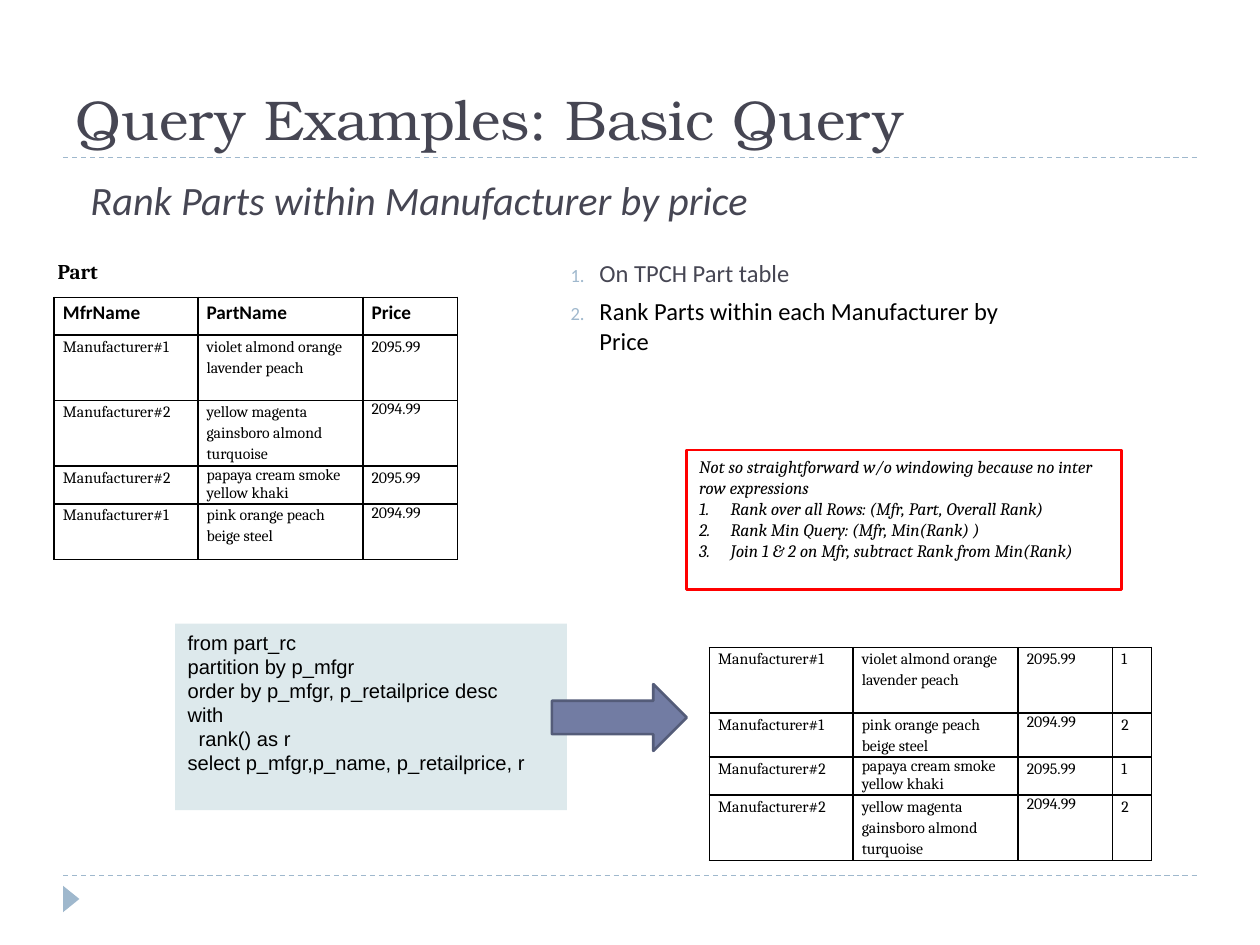
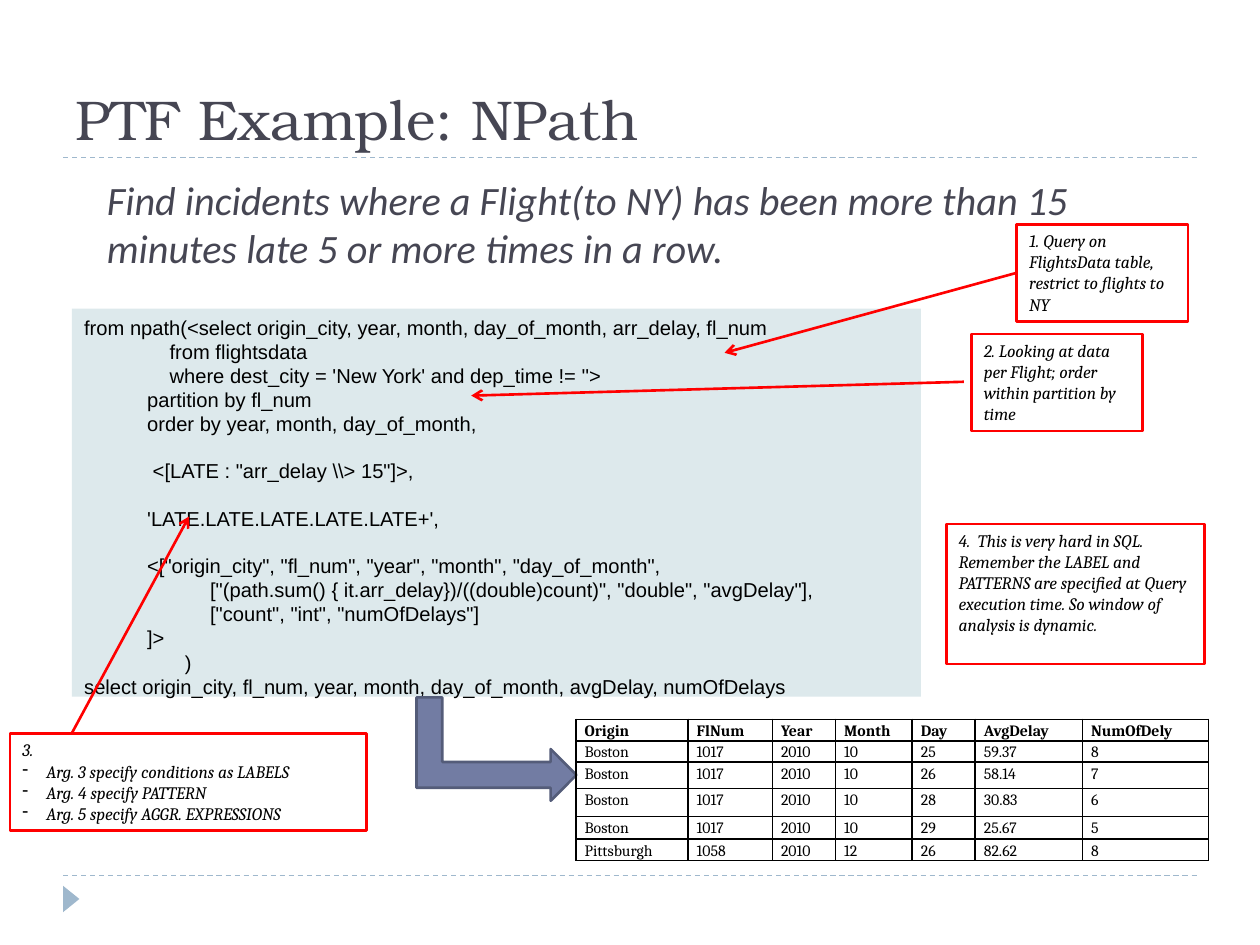
"""Build two slides on windowing queries: a basic ranking and an NPath example."""
from lxml import etree
from pptx import Presentation
from pptx.dml.color import RGBColor
from pptx.enum.dml import MSO_LINE
from pptx.enum.shapes import MSO_CONNECTOR, MSO_SHAPE
from pptx.enum.text import MSO_ANCHOR, PP_ALIGN
from pptx.oxml.ns import qn
from pptx.util import Inches, Pt

RECTANGLE = MSO_SHAPE.RECTANGLE
RIGHT_ARROW = MSO_SHAPE.RIGHT_ARROW
BENT_ARROW = MSO_SHAPE.BENT_UP_ARROW
TRIANGLE = MSO_SHAPE.ISOSCELES_TRIANGLE
STRAIGHT = MSO_CONNECTOR.STRAIGHT
DASH = MSO_LINE.DASH
TOP, BOTTOM = MSO_ANCHOR.TOP, MSO_ANCHOR.BOTTOM
LEFT = PP_ALIGN.LEFT

INK, BLACK, WHITE, RED = "464653", "000000", "FFFFFF", "FF0000"
ACCENT, CODE_FILL = "9FB8CD", "DDE9EC"
ARROW_FILL, ARROW_EDGE = "727CA3", "545C79"
TITLE_FONT, BODY_FONT, NOTE_FONT, CODE_FONT = "TeX Gyre Bonum", "Calibri", "Cambria", "Arial"


def add_box(page, kind, place, fill=None, edge=None, width=1.5):
    """Add a preset shape with a plain fill and outline."""
    box = page.shapes.add_shape(kind, *[Inches(value) for value in place])
    box.shadow.inherit = False
    box.text_frame.word_wrap = True
    box.text_frame.vertical_anchor = TOP
    if fill:
        box.fill.solid()
        box.fill.fore_color.rgb = RGBColor.from_string(fill)
    else:
        box.fill.background()
    if edge:
        box.line.color.rgb = RGBColor.from_string(edge)
        box.line.width = Pt(width)
    else:
        box.line.fill.background()
    return box


def write(frame, lines, font, size, color=BLACK, bold=False, italic=False,
          spacing=None, margin=0, hanging=0, bullet=None, gap=0):
    """Write lines; those in a tuple get the bullet, an empty one becomes space."""
    blank = 0
    paragraphs = 0
    for line in lines:
        if not line:
            blank = size * 1.15
            continue
        para = frame.add_paragraph() if paragraphs else frame.paragraphs[0]
        para.alignment = LEFT
        if paragraphs and gap + blank:
            para.space_before = Pt(gap + blank)
        if spacing:
            para.line_spacing = spacing
        listed = isinstance(line, tuple)
        if listed or not bullet:
            properties = para._p.get_or_add_pPr()
            properties.set("marL", str(Inches(margin)))
            properties.set("indent", str(Inches(-hanging)))
        if listed and bullet == "-":
            etree.SubElement(properties, qn("a:buChar"), char="-")
        elif listed:
            if gap:
                tint = etree.SubElement(properties, qn("a:buClr"))
                etree.SubElement(tint, qn("a:srgbClr"), val=ACCENT)
                etree.SubElement(properties, qn("a:buSzPct"), val="76000")
            etree.SubElement(properties, qn("a:buAutoNum"), type="arabicPeriod")
        span = para.add_run()
        span.text = line[0] if listed else line
        span.font.name, span.font.size = font, Pt(size)
        span.font.bold, span.font.italic = bold, italic
        span.font.color.rgb = RGBColor.from_string(color)
        blank = 0
        paragraphs += 1


violet = "violet almond orange lavender peach"
yellow = "yellow magenta gainsboro almond turquoise"
papaya = "papaya cream smoke yellow khaki"
pink = "pink orange peach beige steel"
SINGLE_SPACED = {"2094.99", papaya}

slides = [
    {
        "title": "Query Examples: Basic Query",
        "subtitle": "Rank Parts within Manufacturer by price",
        "subtitle_left": 0.32, "subtitle_margin": 0.3, "subtitle_height": 0.59,
        "code_place": (1.39, 4.95, 3.11, 1.48),
        "code": [
            "from part_rc",
            "partition by p_mfgr",
            "order by p_mfgr, p_retailprice desc",
            "with",
            "  rank() as r",
            "select p_mfgr,p_name, p_retailprice, r",
        ],
        "arrow": (RIGHT_ARROW, (4.38, 5.43, 1.07, 0.53), 0),
        "tables": [
            ((5.63, 5.14), [1.14, 1.31, 0.75, 0.31], [0.52, 0.35, 0.3, 0.52], None, [
                ["Manufacturer#1", violet, "2095.99", "1"],
                ["Manufacturer#1", pink, "2094.99", "2"],
                ["Manufacturer#2", papaya, "2095.99", "1"],
                ["Manufacturer#2", yellow, "2094.99", "2"],
            ]),
            ((0.43, 2.36), [1.14, 1.31, 0.75], [0.3, 0.52, 0.52, 0.3, 0.44], (BODY_FONT, 11), [
                ["MfrName", "PartName", "Price"],
                ["Manufacturer#1", violet, "2095.99"],
                ["Manufacturer#2", yellow, "2094.99"],
                ["Manufacturer#2", papaya, "2095.99"],
                ["Manufacturer#1", pink, "2094.99"],
            ]),
        ],
        "notes": [
            ((5.45, 3.57, 3.45, 1.11), "1.", 0.25, [
                "Not so straightforward w/o windowing because no inter row expressions",
                ("Rank over all Rows: (Mfr, Part, Overall Rank)",),
                ("Rank Min Query: (Mfr, Min(Rank) )",),
                ("Join 1 & 2 on Mfr, subtract Rank from Min(Rank)",),
            ], None),
        ],
    },
    {
        "title": "PTF Example: NPath",
        "subtitle": "Find incidents where a Flight(to NY) has been more than 15 "
                    "minutes late 5 or more times in a row.",
        "subtitle_left": 0.4, "subtitle_margin": 0.35, "subtitle_height": 0.8,
        "code_place": (0.57, 2.45, 6.74, 3.08),
        "code": [
            "from npath(<select origin_city, year, month, day_of_month, arr_delay, fl_num",
            "\t    from flightsdata",
            "\t    where dest_city = 'New York' and dep_time != ''>",
            "\tpartition by fl_num",
            "\torder by year, month, day_of_month,",
            "",
            "\t <[LATE : \"arr_delay \\\\> 15\"]>,",
            "",
            "\t'LATE.LATE.LATE.LATE.LATE+',",
            "",
            "\t<[\"origin_city\", \"fl_num\", \"year\", \"month\", \"day_of_month\",",
            "\t\t[\"(path.sum() { it.arr_delay})/((double)count)\", \"double\", \"avgDelay\"],",
            "\t\t[\"count\", \"int\", \"numOfDelays\"]",
            "\t]>",
            "                  )",
            "select origin_city, fl_num, year, month, day_of_month, avgDelay, numOfDelays",
        ],
        "arrow": (BENT_ARROW, (3.53, 5.31, 0.82, 1.27), 90),
        "tables": [
            ((4.57, 5.71), [0.89, 0.67, 0.5, 0.61, 0.5, 0.85, 1],
             [0.17, 0.17, 0.21, 0.22, 0.18, 0.17], (NOTE_FONT, 9), [
                ["Origin", "FlNum", "Year", "Month", "Day", "AvgDelay", "NumOfDely"],
                ["Boston", "1017", "2010", "10", "25", "59.37", "8"],
                ["Boston", "1017", "2010", "10", "26", "58.14", "7"],
                ["Boston", "1017", "2010", "10", "28", "30.83", "6"],
                ["Boston", "1017", "2010", "10", "29", "25.67", "5"],
                ["Pittsburgh", "1058", "2010", "12", "26", "82.62", "8"],
            ]),
        ],
        "notes": [
            ((8.07, 1.78, 1.36, 0.77), None, 0,
             ["1. Query on FlightsData table, restrict to flights to NY"],
             (8.07, 2.17, 5.75, 2.8)),
            ((7.71, 2.65, 1.36, 0.77), None, 0,
             ["2. Looking at data per Flight; order within partition by time"],
             (7.65, 3.03, 3.74, 3.14)),
            ((0.08, 5.82, 2.83, 0.77), "-", 0.19, [
                "3.",
                ("Arg. 3 specify conditions as LABELS",),
                ("Arg. 4 specify PATTERN",),
                ("Arg. 5 specify AGGR. EXPRESSIONS",),
            ], (0.57, 5.82, 1.5, 4.1)),
            ((7.51, 4.16, 2.05, 1.11), None, 0,
             ["4.  This is very hard in SQL. Remember the LABEL and PATTERNS are specified "
              "at Query execution time. So window of analysis is dynamic."], None),
        ],
    },
]

deck = Presentation()
deck.slide_width, deck.slide_height = Inches(10), Inches(7.5)

for slide in slides:
    page = deck.slides.add_slide(deck.slide_layouts[6])
    for height in (6.95, 1.25):
        rule = page.shapes.add_connector(
            STRAIGHT, Inches(0.5), Inches(height), Inches(9.5), Inches(height))
        rule.line.color.rgb = RGBColor.from_string(ACCENT)
        rule.line.width = Pt(0.75)
        rule.line.dash_style = DASH
        etree.SubElement(rule._element.spPr, qn("a:effectLst"))
    marker = add_box(page, TRIANGLE, (0.46, 7.07, 0.21, 0.13), ACCENT)
    marker.rotation = 90

    title = add_box(page, RECTANGLE, (0.5, 0.17, 9, 1.08))
    title.text_frame.vertical_anchor = BOTTOM
    write(title.text_frame, [slide["title"]], TITLE_FONT, 32, INK)
    subtitle = add_box(
        page, RECTANGLE, (slide["subtitle_left"], 1.34, 9, slide["subtitle_height"]))
    write(subtitle.text_frame, [slide["subtitle"]], BODY_FONT, 23, INK,
          italic=True, margin=slide["subtitle_margin"])

    code = add_box(page, RECTANGLE, slide["code_place"], CODE_FILL)
    code.text_frame.margin_right = 0
    write(code.text_frame, slide["code"], CODE_FONT, 11.5)

    kind, place, turn = slide["arrow"]
    arrow = add_box(page, kind, place, ARROW_FILL, ARROW_EDGE)
    arrow.rotation = turn

    for (left, top), widths, heights, header, rows in slide["tables"]:
        table = page.shapes.add_table(
            len(rows), len(widths), Inches(left), Inches(top),
            Inches(sum(widths)), Inches(sum(heights))).table
        table.first_row = bool(header)
        table.horz_banding = False
        for column, width in zip(table.columns, widths):
            column.width = Inches(width)
        for row, height in zip(table.rows, heights):
            row.height = Inches(height)
        for row_number, texts in enumerate(rows):
            heading = header if row_number == 0 else None
            font, size = heading or (NOTE_FONT, 9)
            for column_number, text in enumerate(texts):
                cell = table.cell(row_number, column_number)
                cell.margin_left = cell.margin_right = Inches(0.07)
                cell.margin_top = cell.margin_bottom = 0
                write(cell.text_frame, [text], font, size, bold=bool(heading),
                      spacing=1 if text in SINGLE_SPACED else 1.15)
                properties = cell._tc.get_or_add_tcPr()
                for side in ("lnL", "lnR", "lnT", "lnB"):
                    border = etree.SubElement(properties, qn("a:" + side), w=str(Pt(1)))
                    paint = etree.SubElement(border, qn("a:solidFill"))
                    etree.SubElement(paint, qn("a:srgbClr"), val=BLACK)
                cell.fill.background()

    for place, bullet, indent, lines, pointer in slide["notes"]:
        note = add_box(page, RECTANGLE, place, edge=RED)
        write(note.text_frame, lines, NOTE_FONT, 10, italic=True,
              margin=indent, hanging=indent, bullet=bullet)
        if pointer:
            link = page.shapes.add_connector(STRAIGHT, *[Inches(value) for value in pointer])
            if pointer[0] == place[0]:
                link.begin_connect(note, 1)
            link.line.color.rgb = RGBColor.from_string(RED)
            link.line.width = Pt(1.5)
            etree.SubElement(link.line._get_or_add_ln(), qn("a:tailEnd"), type="arrow")
            etree.SubElement(link._element.spPr, qn("a:effectLst"))

ranking = deck.slides[0]
label = add_box(ranking, RECTANGLE, (0.36, 2, 1.03, 0.33), WHITE)
write(label.text_frame, ["Part"], NOTE_FONT, 12, bold=True)
steps = add_box(ranking, RECTANGLE, (4.21, 2, 4.14, 0.88))
write(steps.text_frame,
      [("On TPCH Part table",), ("Rank Parts within each Manufacturer by Price",)],
      BODY_FONT, 14, INK, margin=0.45, hanging=0.23, bullet="1.", gap=5)
steps.text_frame.paragraphs[1].runs[0].font.color.rgb = RGBColor.from_string(BLACK)

deck.save("out.pptx")
